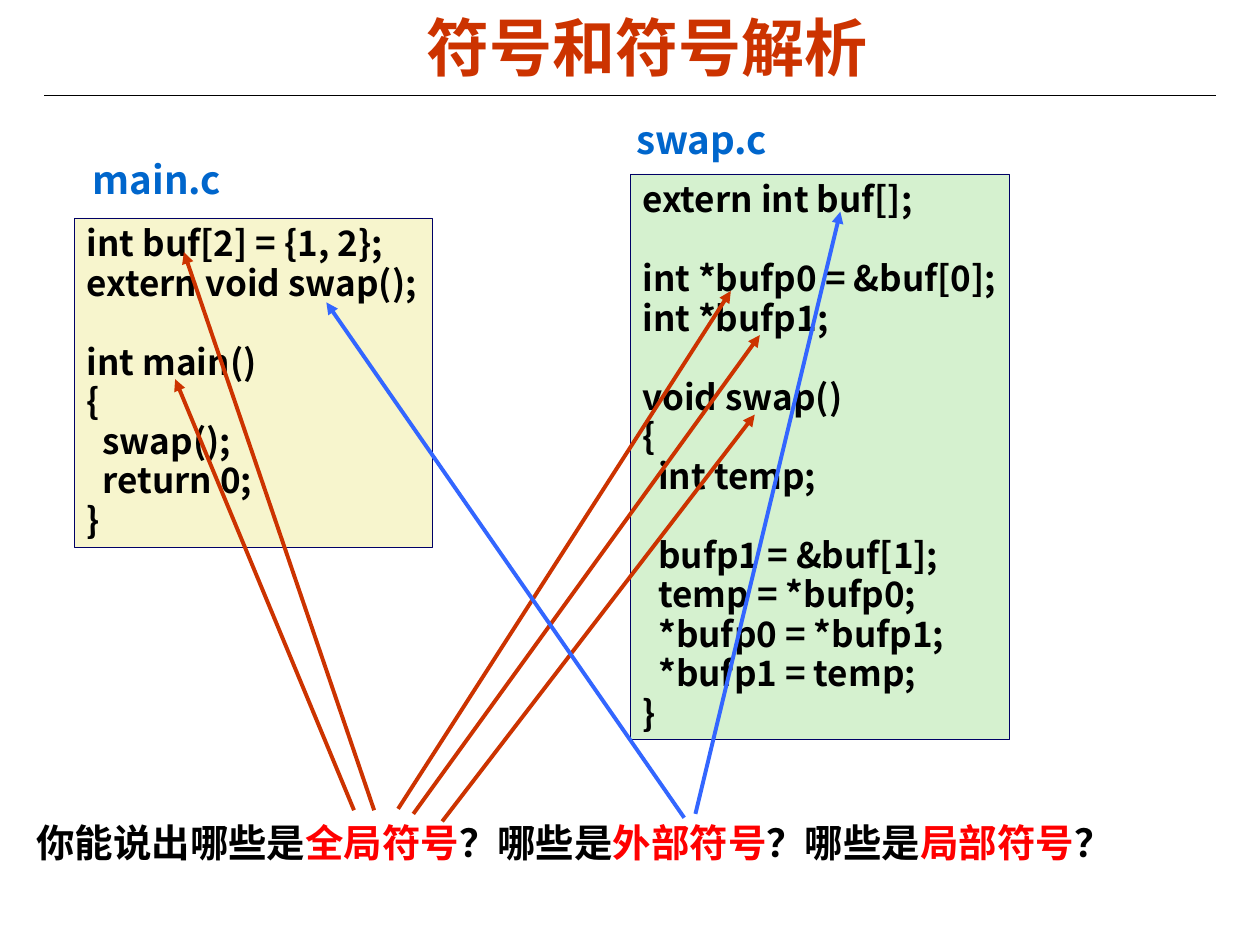
from dataclasses import dataclass

from lxml.etree import SubElement
from pptx import Presentation
from pptx.dml.color import RGBColor
from pptx.enum.shapes import MSO_CONNECTOR, MSO_SHAPE
from pptx.enum.text import MSO_ANCHOR, PP_ALIGN
from pptx.oxml.ns import qn
from pptx.util import Pt


@dataclass(frozen=True)
class Theme:
    latin: str = "Arial"
    cjk: str = "Noto Sans CJK SC"
    title: str = "CC3300"
    text: str = "000000"
    label: str = "0066CC"
    key: str = "FF0000"
    border: str = "000066"
    main_fill: str = "F7F5CD"
    swap_fill: str = "D5F1CF"
    global_arrow: str = "CC3300"
    extern_arrow: str = "3366FF"
    title_size: float = 36
    body_size: float = 22
    code_size: float = 20
    code_pitch: float = 1.13
    body_pitch: float = 1.21


class Deck:
    def __init__(self, theme):
        self.t = theme
        self.prs = Presentation()
        self.prs.slide_width, self.prs.slide_height = Pt(720), Pt(540)
        self.s = self.prs.slides.add_slide(self.prs.slide_layouts[5])

    def run(self, p, text, size, color, font):
        r = p.add_run()
        r.text = text
        r.font.name, r.font.size, r.font.bold = font, Pt(size), True
        r.font.color.rgb = RGBColor.from_string(color)
        SubElement(r.font._element, qn("a:ea")).set("typeface", self.t.cjk)

    def title(self, text, box):
        sp = self.s.shapes.title
        sp.left, sp.top, sp.width, sp.height = map(Pt, box)
        tf = sp.text_frame
        tf.vertical_anchor = MSO_ANCHOR.MIDDLE
        p = tf.paragraphs[0]
        p.alignment = PP_ALIGN.CENTER
        self.run(p, text, self.t.title_size, self.t.title, self.t.latin)

    def text(self, runs, box, font, pitch):
        tf = self.s.shapes.add_textbox(*map(Pt, box)).text_frame
        tf.word_wrap = True
        p = tf.paragraphs[0]
        p.line_spacing = Pt(self.t.body_size * pitch)
        for text, color in runs:
            self.run(p, text, self.t.body_size, color, font)

    def label(self, text, box):
        self.text([(text, self.t.label)], box, self.t.cjk, self.t.code_pitch)

    def code(self, source, box, fill):
        sp = self.s.shapes.add_shape(MSO_SHAPE.RECTANGLE, *map(Pt, box))
        sp.shadow.inherit = False
        sp.fill.solid()
        sp.fill.fore_color.rgb = RGBColor.from_string(fill)
        sp.line.color.rgb = RGBColor.from_string(self.t.border)
        sp.line.width = Pt(0.25)
        tf = sp.text_frame
        tf.word_wrap = False
        tf.vertical_anchor = MSO_ANCHOR.TOP
        pitch = Pt(self.t.code_size * self.t.code_pitch)
        lines = [(line, i > 0 and n == 0)
                 for i, block in enumerate(source.strip().split("\n\n"))
                 for n, line in enumerate(block.split("\n"))]
        for i, (line, gap) in enumerate(lines):
            p = tf.add_paragraph() if i else tf.paragraphs[0]
            p.alignment = PP_ALIGN.LEFT
            p.line_spacing = pitch
            if gap:
                p.space_before = pitch
            self.run(p, line, self.t.code_size, self.t.text, self.t.cjk)

    def line(self, start, end, color, width, arrow=False):
        c = self.s.shapes.add_connector(
            MSO_CONNECTOR.STRAIGHT, *map(Pt, (*start, *end)))
        c.line.color.rgb = RGBColor.from_string(color)
        c.line.width = Pt(width)
        if arrow:
            SubElement(c.line._ln, qn("a:tailEnd")).set("type", "triangle")
        SubElement(c._element.spPr, qn("a:effectLst"))


MAIN_C = """
int buf[2] = {1, 2};
extern void swap();

int main()
{
  swap();
  return 0;
}
"""

SWAP_C = """
extern int buf[];

int *bufp0 = &buf[0];
int *bufp1;

void swap()
{
  int temp;

  bufp1 = &buf[1];
  temp = *bufp0;
  *bufp0 = *bufp1;
  *bufp1 = temp;
}
"""


def main():
    """Build the slide on symbols and symbol resolution."""
    t = Theme()
    d = Deck(t)
    d.line((25.2, 54.7), (694.8, 54.7), t.text, 0.75)
    d.title("符号和符号解析", (26.6, -4.3, 686.2, 61.9))
    d.code(MAIN_C, (42.5, 124.5, 204.5, 188), t.main_fill)
    d.label("main.c", (46, 87, 93, 32.4))
    d.code(SWAP_C, (360, 99.3, 217, 323.3), t.swap_fill)
    d.label("swap.c", (356.5, 64, 105, 32.4))
    question = [("你能说出哪些是", t.text), ("全局符号", t.key),
                ("？哪些是", t.text), ("外部符号", t.key),
                ("？哪些是", t.text), ("局部符号", t.key), ("？", t.text)]
    d.text(question, (13.7, 464.4, 644.4, 33.8), t.latin, t.body_pitch)
    arrows = {
        t.global_arrow: [((213.8, 463), (105.1, 144)),
                         ((202.3, 463), (100.1, 216.7)),
                         ((227.5, 462.2), (417.6, 166.3)),
                         ((252.7, 469.4), (431.3, 236.9)),
                         ((236.2, 465.1), (434.2, 191.5))],
        t.extern_arrow: [((391, 467.3), (186.5, 172.8)),
                         ((397.4, 465.1), (480.2, 121))],
    }
    for color, ends in arrows.items():
        for start, end in ends:
            d.line(start, end, color, 2.25, arrow=True)
    d.prs.save("out.pptx")


if __name__ == "__main__":
    main()
